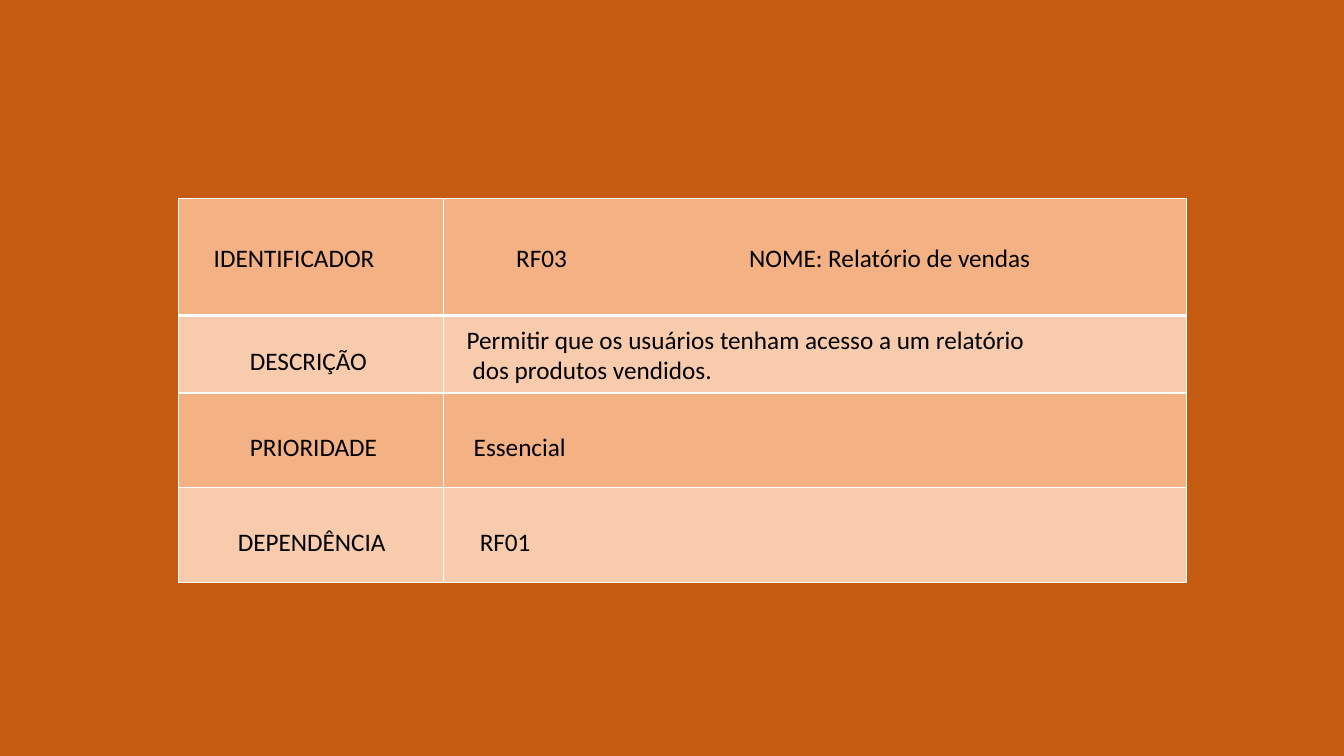
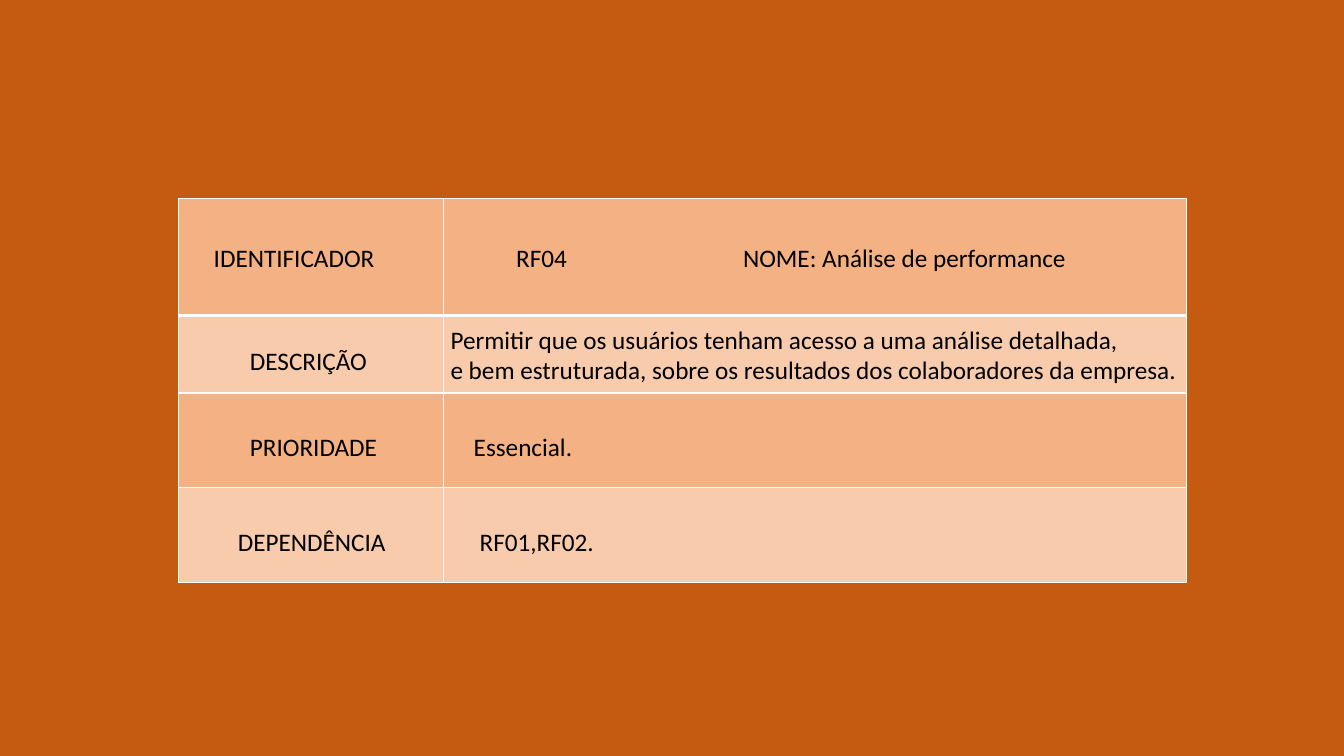
"""Build two requirement cards, each a banded table with its labels and values."""
import pptx
import pptx.dml.color
import pptx.enum.text
import pptx.util
from lxml import etree

INCH, PT = pptx.util.Inches, pptx.util.Pt
BACK, WHITE, BLACK = "C55A11", "FFFFFF", "000000"
BANDS = ("F4B183", "F8CBAD")
LEFT, TOP = 1.77, 1.97
COLS = (2.63, 7.37)
ROWS = (1.16, 0.77, 0.94, 0.94)
LINE, PAIR, DROP = 0.4, 0.71, 0.06
NS = "http://schemas.openxmlformats.org/drawingml/2006/main"

LABELS = [
    (1, "DESCRIÇÃO", 2.38, 1.55, True),
    (2, "PRIORIDADE", 2.38, 1.55, True),
    (3, "DEPENDÊNCIA", 2.26, 1.68, False),
]
CARDS = [
    {
        "head": ("IDENTIFICADOR", "RF03", "NOME: Relatório de vendas"),
        "stops": (3.0, 5.31),
        "about": ("Permitir que os usuários tenham acesso a um relatório",
                  "dos produtos vendidos."),
        "place": (4.53, 5.8),
        "indent": 0.06,
        "rank": ("Essencial", 1.12),
        "needs": ("RF01", 0.71),
    },
    {
        "head": ("IDENTIFICADOR", "RF04", "NOME: Análise de performance"),
        "stops": (3.0, 5.25),
        "about": ("Permitir que os usuários tenham acesso a uma análise detalhada,",
                  "e bem estruturada, sobre os resultados dos colaboradores da empresa."),
        "place": (4.37, 7.48),
        "indent": 0,
        "rank": ("Essencial.", 1.19),
        "needs": ("RF01,RF02.", 1.34),
    },
]


def paint(fill, code):
    fill.solid()
    fill.fore_color.rgb = pptx.dml.color.RGBColor.from_string(code)


def node(base, tag, **attrs):
    return etree.SubElement(base, f"{{{NS}}}{tag}", **attrs)


def edge(cell, side, width):
    line = node(cell._tc.get_or_add_tcPr(), "ln" + side, w=str(PT(width)))
    node(node(line, "solidFill"), "srgbClr", val=WHITE)


def grid(slide):
    frame = slide.shapes.add_table(len(ROWS), len(COLS), INCH(LEFT), INCH(TOP),
                                   INCH(sum(COLS)), INCH(sum(ROWS)))
    table = frame.table
    for col, width in zip(table.columns, COLS):
        col.width = INCH(width)
    for i, height in enumerate(ROWS):
        table.rows[i].height = INCH(height)
        for cell in table.rows[i].cells:
            for side in "LRTB":
                thick = (i, side) in ((0, "B"), (1, "T"))
                edge(cell, side, 3 if thick else 1)
            paint(cell.fill, BANDS[i % 2])


def write(slide, row, lines, left, width, wrap=False, drop=DROP, stops=(), indent=0):
    height = LINE if len(lines) == 1 else PAIR
    top = TOP + sum(ROWS[:row]) + (ROWS[row] - height) / 2 + drop
    box = slide.shapes.add_textbox(INCH(left), INCH(top), INCH(width), INCH(height))
    frame = box.text_frame
    frame.word_wrap = wrap
    frame.auto_size = pptx.enum.text.MSO_AUTO_SIZE.SHAPE_TO_FIT_TEXT
    frame.text = "\n".join(lines)
    for i, para in enumerate(frame.paragraphs):
        props = para._p.get_or_add_pPr()
        if i and indent:
            props.set("marL", str(INCH(indent)))
            props.set("indent", "0")
        if stops:
            tabs = node(props, "tabLst")
            for stop in stops:
                node(tabs, "tab", pos=str(INCH(stop)), algn="l")
        para.font.name = "Calibri"
        para.font.size = PT(18)
        paint(para.font.fill, BLACK)
    return frame


def build(deck, card):
    slide = deck.slides.add_slide(deck.slide_layouts[6])
    grid(slide)
    for row, text, left, width, wrap in LABELS:
        write(slide, row, [text], left, width, wrap)
    head = write(slide, 0, ["\t".join(card["head"])], 1.91, 9.48, True,
                 drop=0, stops=card["stops"])
    head.margin_left = INCH(0.21)
    write(slide, 1, card["about"], *card["place"], drop=0.01, indent=card["indent"])
    for row, key, left in ((2, "rank", 4.6), (3, "needs", 4.66)):
        text, width = card[key]
        write(slide, row, [text], left, width)


def main():
    deck = pptx.Presentation()
    deck.slide_width, deck.slide_height = INCH(13.33), INCH(7.5)
    paint(deck.slide_master.background.fill, BACK)
    for card in CARDS:
        build(deck, card)
    deck.save("out.pptx")


if __name__ == "__main__":
    main()
